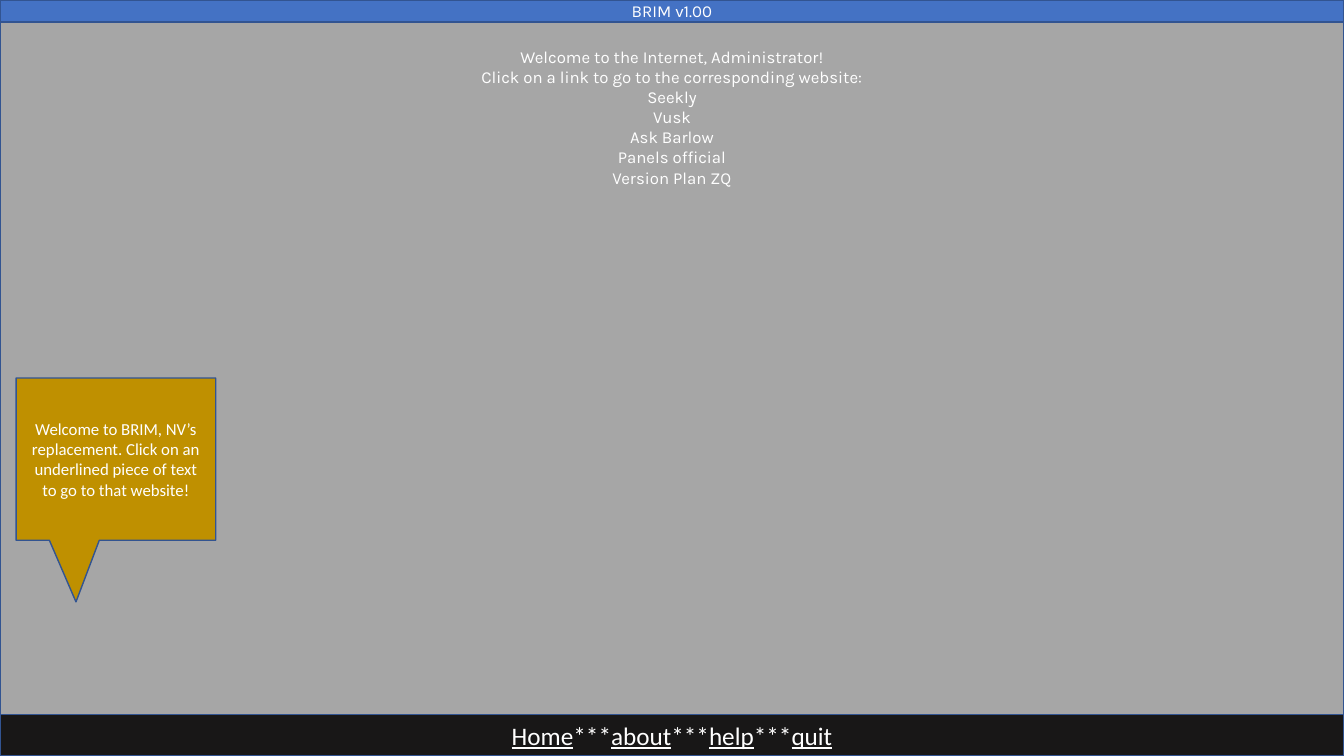
from pptx import Presentation
from pptx.enum import shapes, text
from pptx.dml.color import RGBColor
from pptx.util import Inches, Pt

# Content
TITLE = "BRIM v1.00"
WELCOME = ["Welcome to the Internet, Administrator!",
           "Click on a link to go to the corresponding website:",
           "Seekly", "Vusk", "Ask Barlow", "Panels official", "Version Plan ZQ"]
TIP = ("Welcome to BRIM, NV’s replacement. Click on an underlined piece of text "
       "to go to that website!")
MENU = ["Home", "about", "help", "quit"]
SEPARATOR = "***"

# Look
COLORS = {"bar": "4472C4", "page": "A6A6A6", "tip": "BF9000",
          "menu": "181717", "line": "325491", "text": "FFFFFF"}
FONTS = {"web": {"name": "Karla", "size": Pt(12)},
         "tip": {"name": "Calibri", "size": Pt(12)},
         "menu": {"name": "Calibri", "size": Pt(18)}}

# Layout: full-width bands stacked from top to bottom
W, H = 13.33, 7.5
BAR_H, MENU_H = 0.22, 0.41
BOXES = {"bar": (0, 0, W, BAR_H),
         "page": (0, BAR_H, W, H - BAR_H),
         "welcome": (0, 0.41, W, 1.72),
         "tip": (0.16, H / 2, 1.98, 1.61),
         "menu": (0, H - MENU_H, W, MENU_H)}


def rgb(key):
    return RGBColor.from_string(COLORS[key])


def place(key):
    return [Inches(v) for v in BOXES[key]]


def paint(s, key):
    s.fill.solid()
    s.fill.fore_color.rgb = rgb(key)
    s.line.color.rgb = rgb("line")
    s.line.width = Pt(1)


def add_box(key, kind=shapes.MSO_SHAPE.RECTANGLE):
    s = slide.shapes.add_shape(kind, *place(key))
    s.shadow.inherit = False
    paint(s, key)
    return s


def write(s, paragraphs, font, anchor=text.MSO_ANCHOR.MIDDLE):
    """Each paragraph is a list of (words, underlined) runs."""
    tf = s.text_frame
    tf.word_wrap = True
    tf.auto_size = text.MSO_AUTO_SIZE.NONE
    tf.vertical_anchor = anchor
    for i, runs in enumerate(paragraphs):
        p = tf.add_paragraph() if i else tf.paragraphs[0]
        p.alignment = text.PP_ALIGN.CENTER
        for words, underlined in runs:
            r = p.add_run()
            r.text = words
            for name, value in FONTS[font].items():
                setattr(r.font, name, value)
            r.font.underline = underlined
            r.font.color.rgb = rgb("text")


prs = Presentation()
prs.slide_width, prs.slide_height = Inches(W), Inches(H)
slide = prs.slides.add_slide(prs.slide_layouts[5])

# Title bar
title = slide.shapes.title
title.left, title.top, title.width, title.height = place("bar")
paint(title, "bar")
write(title, [[(TITLE, False)]], "web")

# Page with its welcome text
add_box("page")
welcome = slide.shapes.add_textbox(*place("welcome"))
write(welcome, [[(line, False)] for line in WELCOME], "web", text.MSO_ANCHOR.TOP)

# Tip callout
tip = add_box("tip", shapes.MSO_SHAPE.RECTANGULAR_CALLOUT)
tip.adjustments[0], tip.adjustments[1] = -0.2, 0.88
write(tip, [[(TIP, False)]], "tip")

# Menu bar: underlined entries with plain separators between them
runs = [(MENU[0], True)]
for entry in MENU[1:]:
    runs += [(SEPARATOR, False), (entry, True)]
write(add_box("menu"), [runs], "menu")

prs.save("out.pptx")
